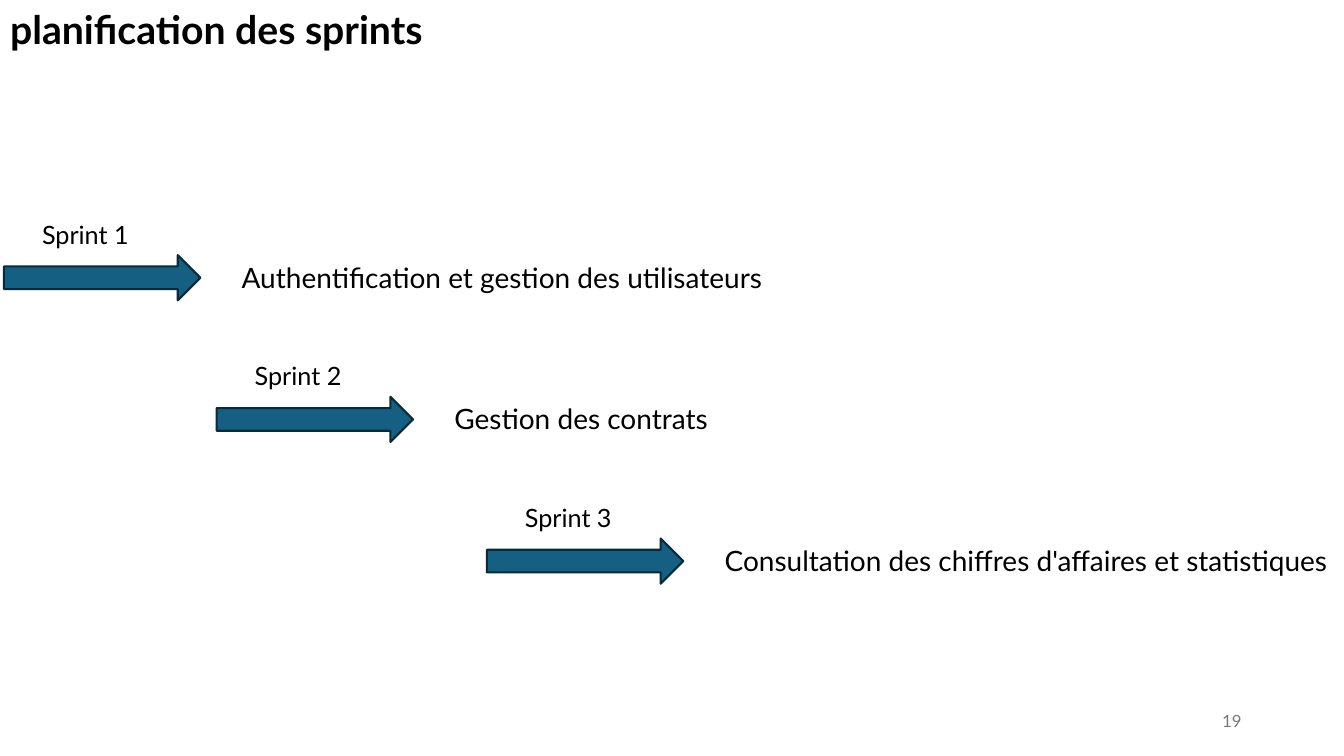
from pptx import Presentation
from pptx.dml.color import RGBColor
from pptx.enum.shapes import MSO_SHAPE
from pptx.enum.text import MSO_ANCHOR, PP_ALIGN
from pptx.util import Cm, Pt

FONT = "Lato"
COLORS = {"text": "000000", "page": "797979", "fill": "156082", "line": "092A39"}

# Label, goal, left edge of the arrow and width of the goal, in cm
SPRINTS = [
    ("Sprint 1", "Authentification et gestion des utilisateurs", 0.1, 15),
    ("Sprint 2", "Gestion des contrats", 5.46, 15),
    ("Sprint 3", "Consultation des chiffres d'affaires et statistiques", 12.27, 16.43),
]
TOP, STEP = 6.43, 3.57


def color(name):
    return RGBColor.from_string(COLORS[name])


def place(shape, left, top, width, height):
    shape.left, shape.top = Cm(left), Cm(top)
    shape.width, shape.height = Cm(width), Cm(height)


def write(shape, text, size, bold=False, tint="text",
          align=PP_ALIGN.LEFT, anchor=MSO_ANCHOR.TOP):
    frame = shape.text_frame
    frame.text = text
    frame.word_wrap = True
    frame.vertical_anchor = anchor
    line = frame.paragraphs[0]
    line.alignment = align
    line.line_spacing = 1.0
    font = line.runs[0].font
    font.name, font.size, font.bold = FONT, Pt(size), bold
    font.color.rgb = color(tint)


def add_text(slide, box, text, size, **style):
    shape = slide.shapes.add_textbox(*map(Cm, box))
    write(shape, text, size, **style)


def add_title(slide, text):
    title = slide.shapes.title
    place(title, 0, 0, 15.7, 1.45)
    write(title, text, 28, bold=True)


def add_arrow(slide, left, top):
    arrow = slide.shapes.add_shape(
        MSO_SHAPE.RIGHT_ARROW, Cm(left), Cm(top), Cm(4.95), Cm(1.14))
    arrow.shadow.inherit = False
    arrow.fill.solid()
    arrow.fill.fore_color.rgb = color("fill")
    arrow.line.color.rgb = color("line")
    arrow.line.width = Pt(1.5)


def add_sprint(slide, label, goal, left, top, width):
    add_arrow(slide, left, top)
    add_text(slide, (left + 0.71, top - 1.04, 5, 1.02), label, 18)
    add_text(slide, (left + 5.74, top, width, 1.12), goal, 20)


def main():
    deck = Presentation()
    deck.slide_width, deck.slide_height = Cm(33.87), Cm(19.05)
    slide = deck.slides.add_slide(deck.slide_layouts[5])

    # Title
    add_title(slide, "planification des sprints")

    # Staircase of sprints
    for row, (label, goal, left, width) in enumerate(SPRINTS):
        add_sprint(slide, label, goal, left, TOP + row * STEP, width)

    # Page number
    add_text(slide, (23.92, 17.66, 7.62, 1.01), "19", 12, tint="page",
             align=PP_ALIGN.RIGHT, anchor=MSO_ANCHOR.MIDDLE)

    deck.save("out.pptx")


if __name__ == "__main__":
    main()
